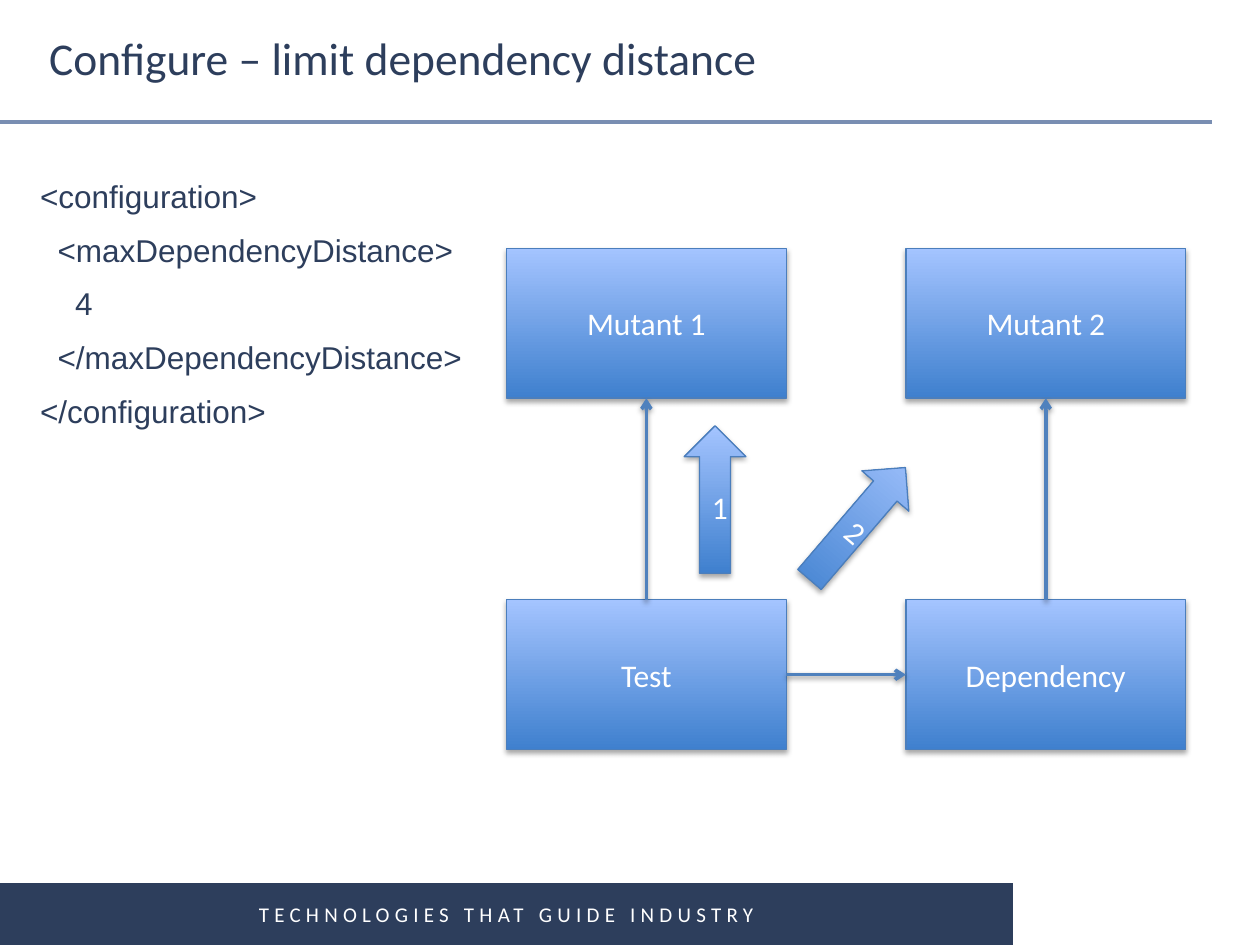
from typing import NamedTuple

from lxml.etree import SubElement
from pptx import Presentation
from pptx.dml.color import RGBColor
from pptx.enum.shapes import MSO_CONNECTOR, MSO_SHAPE
from pptx.enum.text import MSO_ANCHOR, PP_ALIGN
from pptx.oxml.ns import qn
from pptx.util import Inches, Pt

COLORS = {
    "navy": "2D3E5C",
    "rule": "798EB2",
    "white": "FFFFFF",
    "grad_bottom": "3F80CE",
    "grad_top": "A4C4FF",
    "outline": "4B7EBC",
    "link": "4F81BD",
    "shadow": "000000",
}
BOX_W, BOX_H = 2.22, 1.19
LEFT_COL, RIGHT_COL = 4.02, 7.19
TOP_ROW, BOTTOM_ROW = 1.97, 4.76
ARROW_W, ARROW_H = 0.49, 1.17
TOP, LEFT, BOTTOM, RIGHT = range(4)


class Node(NamedTuple):
    text: str
    x: float
    y: float


class Link(NamedTuple):
    start: str
    start_side: int
    end: str
    end_side: int


class BlockArrow(NamedTuple):
    text: str
    x: float
    y: float
    rotation: float


NODES = [
    Node("Test", LEFT_COL, BOTTOM_ROW),
    Node("Mutant 1", LEFT_COL, TOP_ROW),
    Node("Dependency", RIGHT_COL, BOTTOM_ROW),
    Node("Mutant 2", RIGHT_COL, TOP_ROW),
]
LINKS = [
    Link("Test", TOP, "Mutant 1", BOTTOM),
    Link("Test", RIGHT, "Dependency", LEFT),
    Link("Dependency", TOP, "Mutant 2", BOTTOM),
]
BLOCK_ARROWS = [BlockArrow("1", 5.43, 3.38, 0), BlockArrow("2", 6.56, 3.57, 40.6)]
CODE = [
    "<configuration>",
    "  <maxDependencyDistance>",
    "    4",
    "  </maxDependencyDistance>",
    "</configuration>",
]


def rgb(name: str) -> RGBColor:
    return RGBColor.from_string(COLORS[name])


def write(sp, lines: list[str], *, size=18, font="Calibri", color="white",
          align=PP_ALIGN.CENTER, anchor=MSO_ANCHOR.MIDDLE, margins=None,
          indent=0.0, before=0, line_spacing=None, tracking=0) -> None:
    """Fill a shape with one paragraph per line; margins run left, top, right, bottom."""
    tf = sp.text_frame
    tf.word_wrap = True
    tf.vertical_anchor = anchor
    if margins:
        (tf.margin_left, tf.margin_top,
         tf.margin_right, tf.margin_bottom) = map(Inches, margins)
    for i, line in enumerate(lines):
        p = tf.add_paragraph() if i else tf.paragraphs[0]
        p.alignment = align
        if line_spacing:
            p.line_spacing = line_spacing
        if i and before:
            p.space_before = Pt(before)
        if indent:
            p._p.get_or_add_pPr().set("marL", str(Inches(indent)))
        r = p.add_run()
        r.text = line
        r.font.size = Pt(size)
        r.font.name = font
        r.font.color.rgb = rgb(color)
        if tracking:
            r._r.get_or_add_rPr().set("spc", str(tracking * 100))


def add_shadow(sp, alpha: int, distance: float) -> None:
    effects = SubElement(sp._element.spPr, qn("a:effectLst"))
    shadow = SubElement(effects, qn("a:outerShdw"), blurRad=str(Pt(3.1)),
                        dist=str(Pt(distance)), dir="5400000", rotWithShape="0")
    color = SubElement(shadow, qn("a:srgbClr"), val=COLORS["shadow"])
    SubElement(color, qn("a:alpha"), val=str(alpha * 1000))


def add_glossy(s, kind, text: str, x: float, y: float, w: float, h: float):
    """Add a gradient shape with an outline, a soft shadow and centred text."""
    sp = s.shapes.add_shape(kind, Inches(x), Inches(y), Inches(w), Inches(h))
    sp.fill.gradient()
    sp.fill.gradient_angle = 90
    for stop, name in zip(sp.fill.gradient_stops, ("grad_bottom", "grad_top")):
        stop.color.rgb = rgb(name)
    sp.line.color.rgb = rgb("outline")
    sp.line.width = Pt(0.75)
    add_shadow(sp, 35, 1.8)
    write(sp, [text])
    return sp


def add_line(s, color: str, x1=0.0, y1=0.0, x2=0.0, y2=0.0):
    line = s.shapes.add_connector(MSO_CONNECTOR.STRAIGHT, Inches(x1), Inches(y1),
                                  Inches(x2), Inches(y2))
    line.line.color.rgb = rgb(color)
    line.line.width = Pt(2)
    return line


def add_link(s, link: Link, boxes: dict) -> None:
    line = add_line(s, "link")
    line.begin_connect(boxes[link.start], link.start_side)
    line.end_connect(boxes[link.end], link.end_side)
    SubElement(line.line._get_or_add_ln(), qn("a:tailEnd"), type="arrow")
    add_shadow(line, 38, 1.6)


def add_frame(s) -> None:
    """Draw the footer band and the rule under the title."""
    band = s.shapes.add_shape(MSO_SHAPE.RECTANGLE, 0, Inches(7.01),
                              Inches(8.04), Inches(0.49))
    band.shadow.inherit = False
    band.fill.solid()
    band.fill.fore_color.rgb = rgb("navy")
    band.line.fill.background()
    write(band, ["TECHNOLOGIES THAT GUIDE INDUSTRY"], size=12, tracking=3)
    rule = add_line(s, "rule", 0, 0.97, 9.62, 0.97)
    SubElement(rule._element.spPr, qn("a:effectLst"))


def main() -> None:
    prs = Presentation()
    prs.slide_width, prs.slide_height = Inches(10), Inches(7.5)
    s = prs.slides.add_slide(prs.slide_layouts[6])
    add_frame(s)

    title = s.shapes.add_textbox(0, 0, Inches(10), Inches(0.97))
    write(title, ["Configure – limit dependency distance"], size=26, color="navy",
          align=PP_ALIGN.LEFT, margins=(0.39, 0, 0.39, 0.06))
    code = s.shapes.add_textbox(0, Inches(1.34), Inches(10), Inches(5.3))
    write(code, CODE, font="Arial", color="navy", align=PP_ALIGN.LEFT,
          anchor=MSO_ANCHOR.TOP, indent=0.22, before=8, line_spacing=1.05)

    boxes = {n.text: add_glossy(s, MSO_SHAPE.RECTANGLE, n.text, n.x, n.y, BOX_W, BOX_H)
             for n in NODES}
    for link in LINKS:
        add_link(s, link, boxes)
    for arrow in BLOCK_ARROWS:
        sp = add_glossy(s, MSO_SHAPE.UP_ARROW, arrow.text, arrow.x, arrow.y,
                        ARROW_W, ARROW_H)
        sp.rotation = arrow.rotation
    prs.save("out.pptx")


if __name__ == "__main__":
    main()
